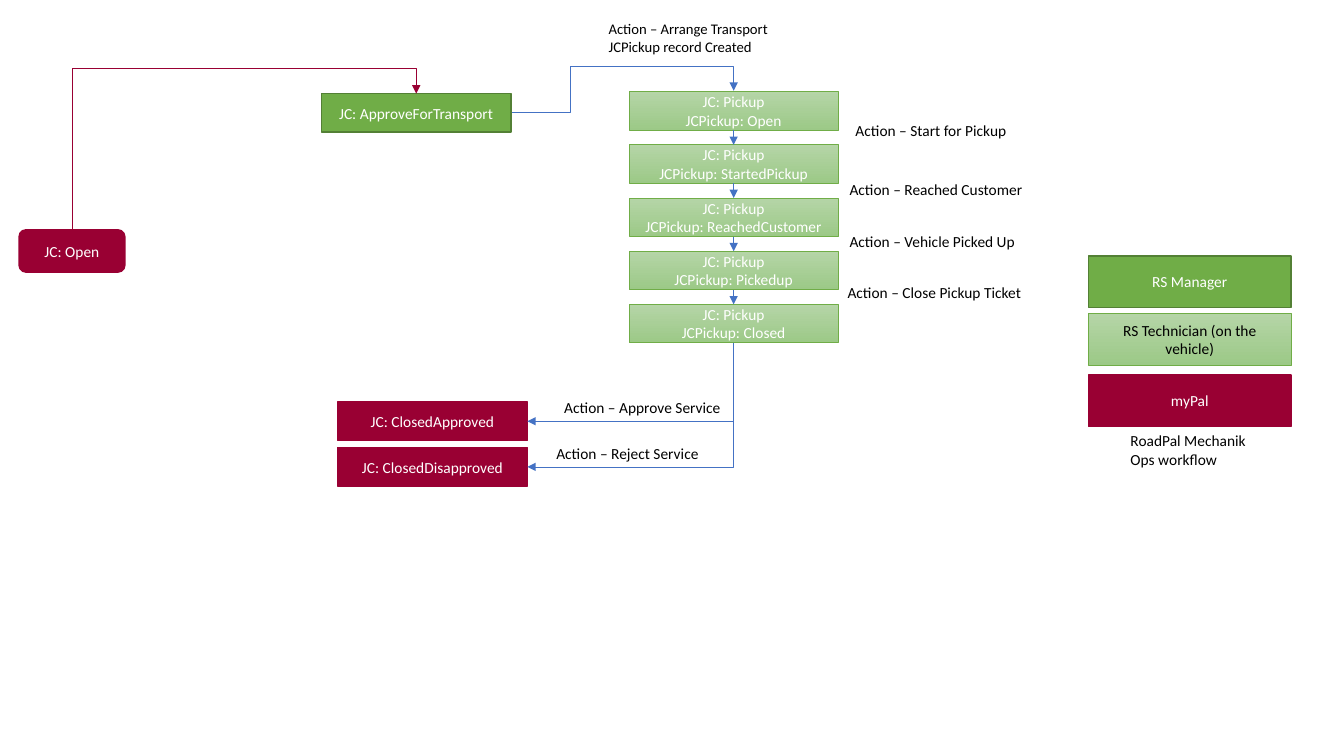
from lxml import etree
from pptx import Presentation
from pptx import util as u
from pptx.dml.color import RGBColor
from pptx.enum import shapes, text
from pptx.oxml import ns

WINE, GREEN, MOSS, LEAF, BLUE = "990033", "70AD47", "538035", ("B5D5A7", "9CC987"), "4472C4"
WHITE, BLACK = "FFFFFF", "000000"
AXIS = 18.49  # centre of the pickup column, cm
HIGH = 0.97   # height of a state box, cm


def hue(code):
    return RGBColor.from_string(code)


def write(frame, words, size=11, color=BLACK, center=False, wrap=True):
    frame.word_wrap = wrap
    frame.text = words
    for para in frame.paragraphs:
        para.alignment = text.PP_ALIGN.CENTER if center else text.PP_ALIGN.LEFT
        for run in para.runs:
            run.font.name = "Calibri"
            run.font.size = u.Pt(size)
            run.font.color.rgb = hue(color)


def label(page, words, left, top, wide, high=0.74, **style):
    box = page.shapes.add_textbox(*map(u.Cm, (left, top, wide, high)))
    write(box.text_frame, words, **style)


def state(page, words, left, top, wide, high=HIGH, fill=WINE, edge=WINE,
          weight=1, color=WHITE, kind=shapes.MSO_SHAPE.RECTANGLE):
    box = page.shapes.add_shape(kind, *map(u.Cm, (left, top, wide, high)))
    box.shadow.inherit = False
    if isinstance(fill, tuple):
        box.fill.gradient()
        box.fill.gradient_angle = 270
        for stop, code in zip(box.fill.gradient_stops, fill):
            stop.color.rgb = hue(code)
    else:
        box.fill.solid()
        box.fill.fore_color.rgb = hue(fill)
    box.line.color.rgb = hue(edge)
    box.line.width = u.Pt(weight)
    box.text_frame.vertical_anchor = text.MSO_ANCHOR.MIDDLE
    write(box.text_frame, words, color=color, center=True)


def arrow(page, start, end, color=BLUE, weight=0.5, bend=None, turn=False, adjust=()):
    """Arrow from start to end; turn makes an elbow leave vertically."""
    (x1, y1), (x2, y2) = start, end
    if turn:  # lay the box out unrotated about its centre
        cx, cy, dx, dy = (x1 + x2) / 2, (y1 + y2) / 2, (y2 - y1) / 2, (x1 - x2) / 2
        x1, y1, x2, y2 = cx - dx, cy - dy, cx + dx, cy + dy
    kind = shapes.MSO_CONNECTOR.ELBOW if bend else shapes.MSO_CONNECTOR.STRAIGHT
    link = page.shapes.add_connector(kind, *map(u.Cm, (x1, y1, x2, y2)))
    link.line.color.rgb = hue(color)
    link.line.width = u.Pt(weight)
    props = link._element.spPr
    if turn:
        props.find(ns.qn("a:xfrm")).set("rot", "5400000")
    if bend:
        geom = props.find(ns.qn("a:prstGeom"))
        geom.set("prst", f"bentConnector{bend}")
        guides = geom.find(ns.qn("a:avLst"))
        for i, value in enumerate(adjust, 1):
            etree.SubElement(guides, ns.qn("a:gd"), name=f"adj{i}", fmla=f"val {value}")
    etree.SubElement(props.find(ns.qn("a:ln")), ns.qn("a:tailEnd"), type="triangle")
    etree.SubElement(props, ns.qn("a:effectLst"))


def main():
    deck = Presentation()
    deck.slide_width, deck.slide_height = u.Cm(33.87), u.Cm(19.05)
    page = deck.slides.add_slide(deck.slide_layouts[6])

    # Opening and approval
    state(page, "JC: Open", 0.48, 5.79, 2.67, 1.07,
          kind=shapes.MSO_SHAPE.ROUNDED_RECTANGLE)
    state(page, "JC: ApproveForTransport", 8.1, 2.36, 4.78, fill=GREEN, edge=MOSS)
    arrow(page, (1.83, 5.79), (10.49, 2.36), WINE, 1, bend=3, turn=True, adjust=[118600])
    arrow(page, (12.9, 2.84), (AXIS, 2.29), bend=4, adjust=[26600, 214200])
    label(page, "Action – Arrange Transport\nJCPickup record Created",
          15.09, 0.38, 4.62, 1.14, size=10.5, wrap=False)

    # Pickup column
    steps = ["Open", "StartedPickup", "ReachedCustomer", "Pickedup", "Closed"]
    first, pitch, wide = 2.31, 1.34, 5.28
    for i, step in enumerate(steps):
        top = first + i * pitch
        state(page, f"JC: Pickup\nJCPickup: {step}", AXIS - wide / 2, top, wide,
              fill=LEAF, edge=GREEN, weight=0.5)
        if i:
            arrow(page, (AXIS, top - pitch + HIGH), (AXIS, top))
    foot = first + 4 * pitch + HIGH

    # Closing states
    for name, top in [("ClosedApproved", 10.13), ("ClosedDisapproved", 11.28)]:
        state(page, f"JC: {name}", 8.51, top, 4.78)
        arrow(page, (AXIS, foot), (13.29, top + HIGH / 2), bend=2, turn=True)

    # Action labels
    for name, left, top, wide in [
            ("Start for Pickup", 21.31, 2.92, 4.45),
            ("Reached Customer", 21.16, 4.42, 5.46),
            ("Vehicle Picked Up", 21.16, 5.72, 5.46),
            ("Close Pickup Ticket", 21.11, 7.01, 5.46),
            ("Approve Service", 13.97, 9.91, 4.9),
            ("Reject Service", 13.77, 11.07, 4.9)]:
        label(page, f"Action – {name}", left, top, wide)

    # Legend
    for name, top, style in [
            ("RS Manager", 6.45, dict(fill=GREEN, edge=MOSS)),
            ("RS Technician (on the vehicle)", 7.9,
             dict(fill=LEAF, edge=GREEN, weight=0.5, color=BLACK)),
            ("myPal", 9.45, {})]:
        state(page, name, 27.43, top, 5.11, 1.3, **style)
    label(page, "RoadPal Mechanik\nOps workflow", 28.24, 10.74, 3.45, 1.19, wrap=False)

    deck.save("out.pptx")


if __name__ == "__main__":
    main()
